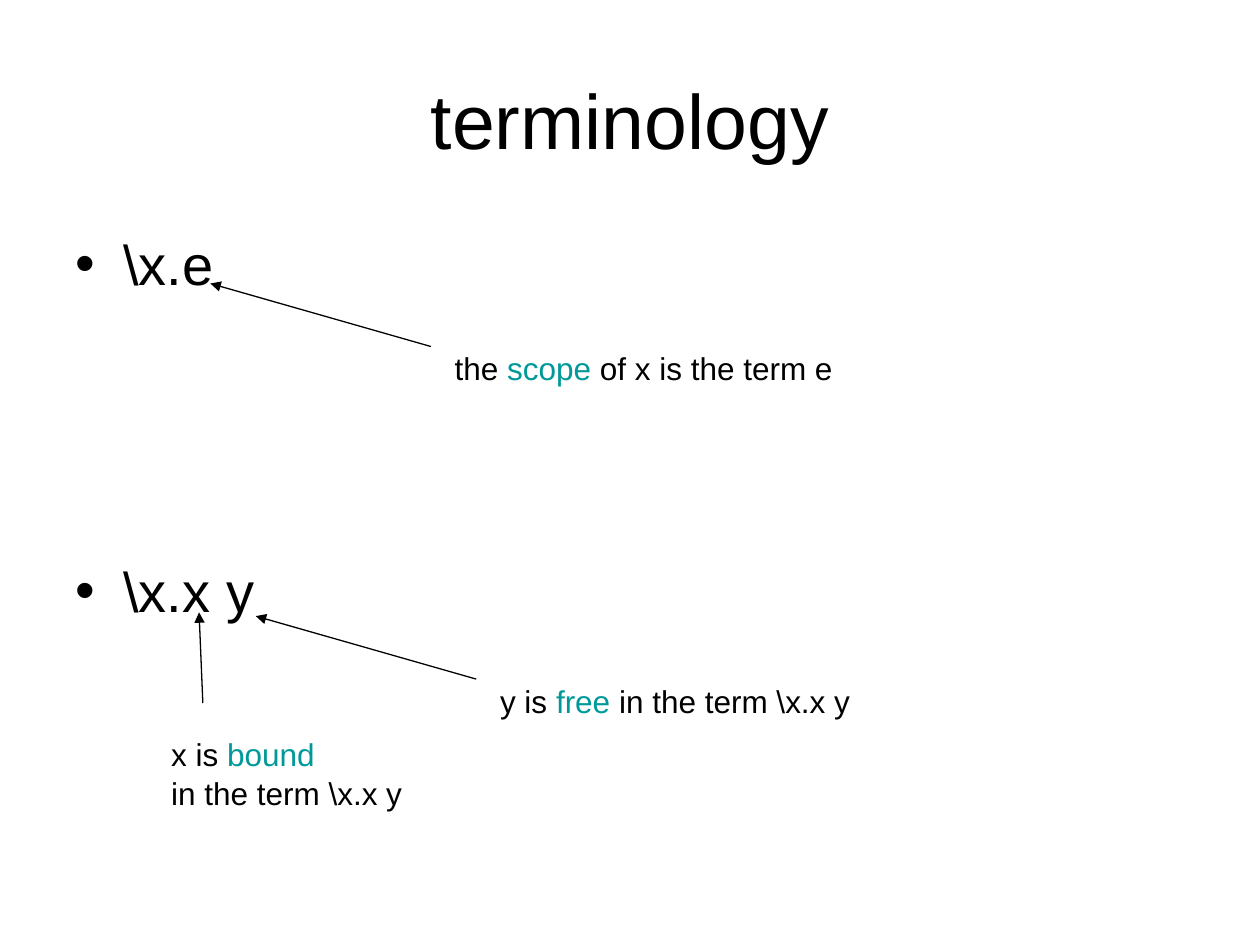
from lxml.etree import SubElement
from pptx import Presentation
from pptx.dml.color import RGBColor
from pptx.enum.shapes import MSO_CONNECTOR
from pptx.enum.text import MSO_ANCHOR, MSO_AUTO_SIZE, PP_ALIGN
from pptx.oxml.ns import qn
from pptx.util import Inches, Pt

INK, TEAL = "000000", "009999"
TITLE = "terminology"
TERMS = [r"\x.e", r"\x.x y"]
TERM_GAP = 147  # points between the two terms
INDENT = 0.38

# Each note: lines of (text, colour) runs, arrow start, arrow end,
# offset of the box from the arrow start, box size
NOTES = [
    ([[("the ", INK), ("scope", TEAL), (" of x is the term e", INK)]],
     (3.42, 2.75), (1.67, 2.25), (0.09, -0.04), (3.2, 0.4)),
    ([[("x is ", INK), ("bound", TEAL)], [(r"in the term \x.x y", INK)]],
     (1.61, 5.58), (1.58, 4.86), (-0.35, 0.19), (2.1, 0.7)),
    ([[("y is ", INK), ("free", TEAL), (r" in the term \x.x y", INK)]],
     (3.78, 5.39), (2.03, 4.89), (0.09, -0.04), (2.98, 0.4)),
]


def color(code):
    return RGBColor.from_string(code)


def place(shape, left, top, width, height):
    shape.left, shape.top = Inches(left), Inches(top)
    shape.width, shape.height = Inches(width), Inches(height)


def bullet(para):
    props = para._p.get_or_add_pPr()
    props.set("marL", str(Inches(INDENT)))
    props.set("indent", str(-Inches(INDENT)))
    SubElement(props, qn("a:buFont"), typeface="Arial")
    SubElement(props, qn("a:buChar"), char="•")


def write(frame, lines, size, align=PP_ALIGN.LEFT, anchor=MSO_ANCHOR.TOP,
          wrap=True, fit=MSO_AUTO_SIZE.NONE, bullets=False, gap=0):
    """Fill a text frame with lines, each a list of (text, colour) runs."""
    frame.word_wrap, frame.auto_size = wrap, fit
    frame.vertical_anchor = anchor
    for i, line in enumerate(lines):
        para = frame.add_paragraph() if i else frame.paragraphs[0]
        if bullets:
            bullet(para)
        para.alignment, para.line_spacing = align, 1.04
        para.space_before = Pt(gap if i else 0)
        for text, code in line:
            run = para.add_run()
            run.text = text
            run.font.name, run.font.size = "Arial", Pt(size)
            run.font.color.rgb = color(code)


def arrow(slide, start, end):
    line = slide.shapes.add_connector(
        MSO_CONNECTOR.STRAIGHT, *map(Inches, start + end))
    line.line.color.rgb = color(INK)
    line.line.width = Pt(0.75)
    SubElement(line.line._get_or_add_ln(), qn("a:tailEnd"), type="triangle")
    SubElement(line._element.spPr, qn("a:effectLst"))


def main():
    deck = Presentation()
    deck.slide_width, deck.slide_height = Inches(10), Inches(7.5)
    slide = deck.slides.add_slide(deck.slide_layouts[1])

    title, body = slide.shapes.title, slide.placeholders[1]
    place(title, 0.5, 0.3, 9, 1.25)
    write(title.text_frame, [[(TITLE, INK)]], 44,
          align=PP_ALIGN.CENTER, anchor=MSO_ANCHOR.MIDDLE)
    place(body, 0.5, 1.75, 9, 4.95)
    write(body.text_frame, [[(term, INK)] for term in TERMS], 32,
          bullets=True, gap=TERM_GAP)

    for lines, start, end, shift, size in NOTES:
        arrow(slide, start, end)
        spot = [a + b for a, b in zip(start, shift)]
        box = slide.shapes.add_textbox(*map(Inches, (*spot, *size)))
        write(box.text_frame, lines, 18, wrap=False,
              fit=MSO_AUTO_SIZE.SHAPE_TO_FIT_TEXT)

    deck.save("out.pptx")


if __name__ == "__main__":
    main()
